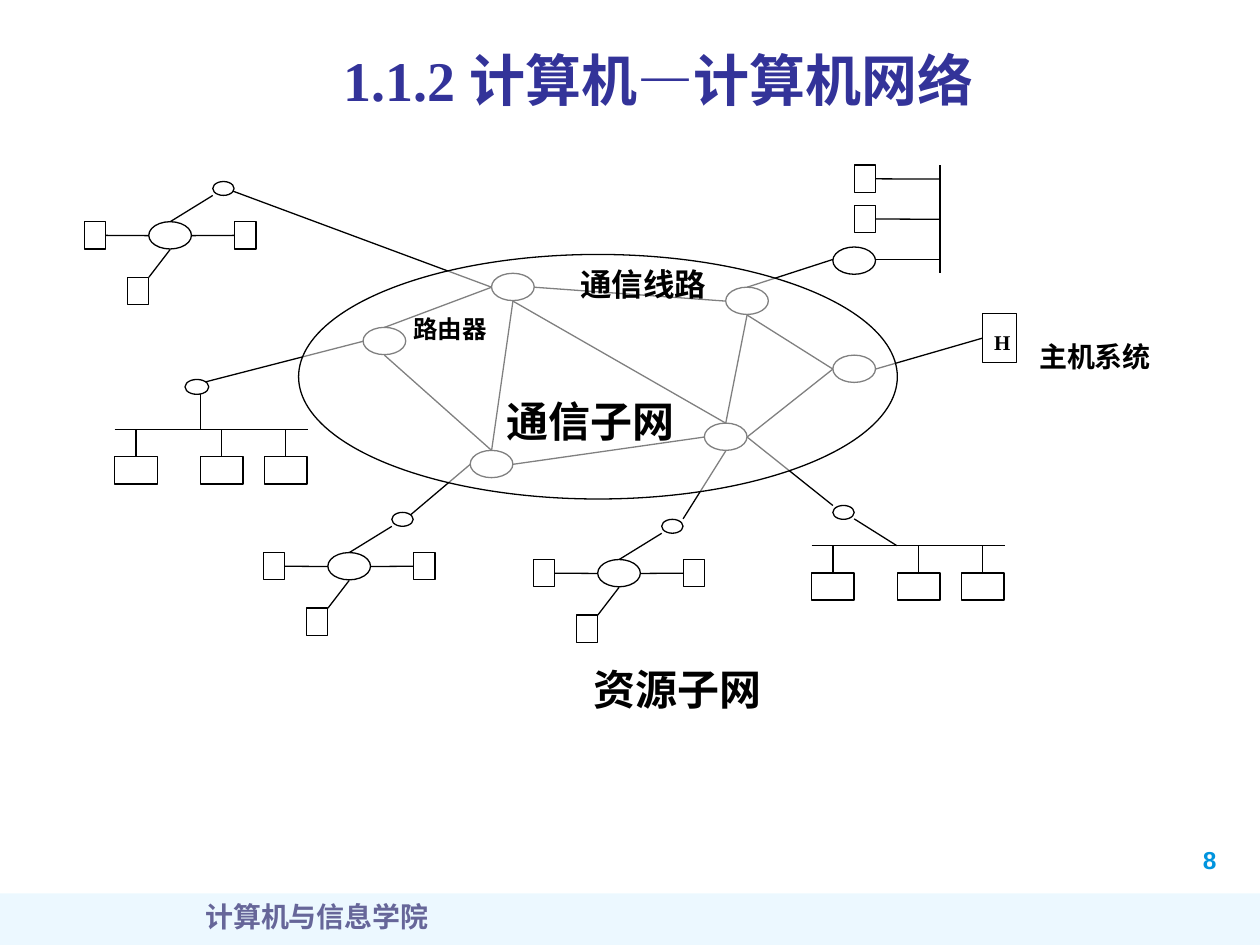
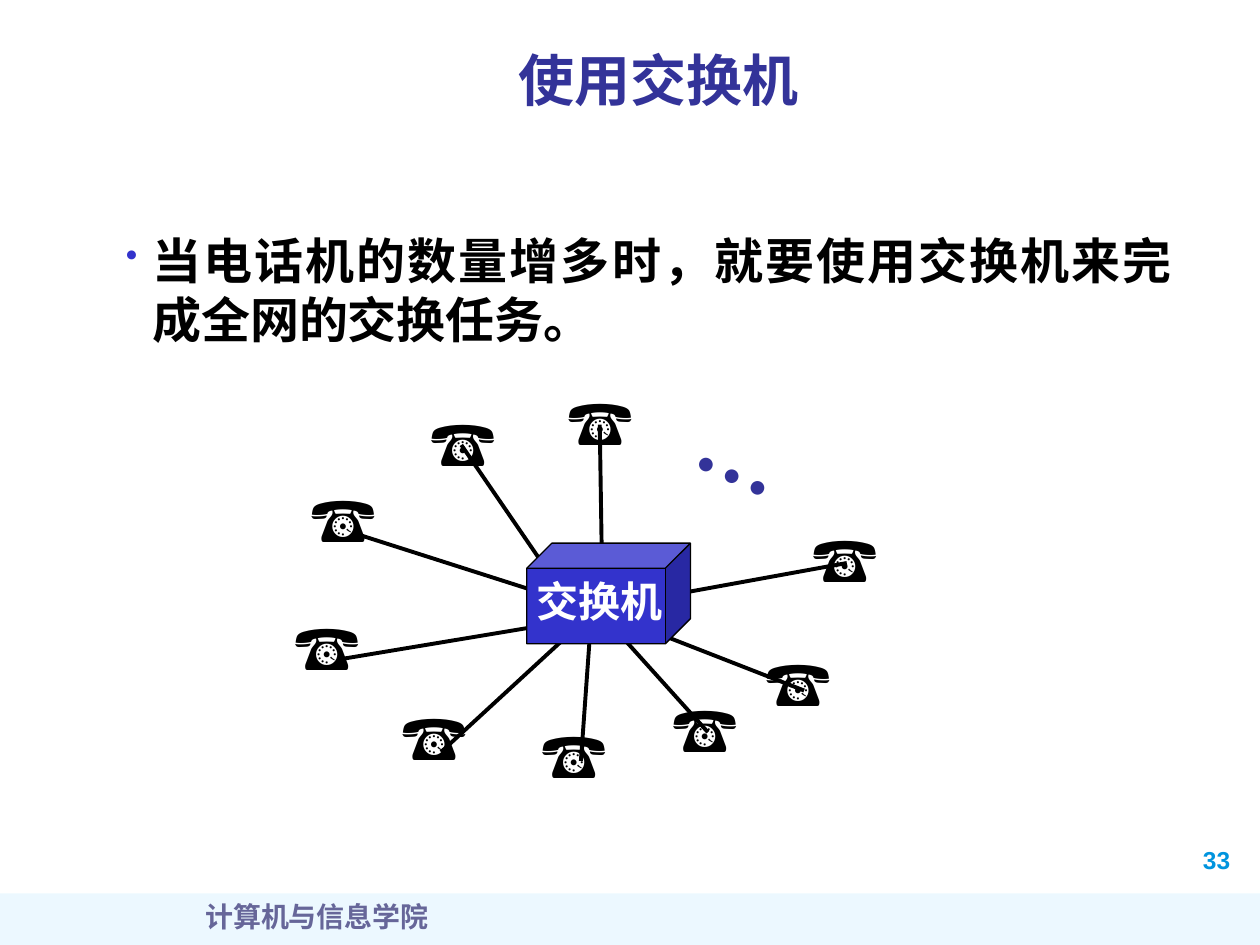
from lxml import etree
from pptx import Presentation
from pptx.dml.color import RGBColor
from pptx.enum.shapes import MSO_CONNECTOR as Connector, MSO_SHAPE as Shape
from pptx.enum.text import MSO_ANCHOR as Anchor, PP_ALIGN as Align
from pptx.oxml.ns import qn
from pptx.util import Cm, Pt

BLACK, WHITE = "000000", "FFFFFF"
NAVY, BLUE = "333399", "3333CC"
FOOTER_COLOUR, NUMBER_COLOUR, BAND_COLOUR = "666699", "0094DE", "A7E2FF"
SERIF, SANS = "Times New Roman", "Arial"
colour = RGBColor.from_string


def add_box(slide, kind, left, top, width, height, fill=WHITE, opacity=100, outline=BLACK):
    box = slide.shapes.add_shape(kind, Cm(left), Cm(top), Cm(width), Cm(height))
    box.shadow.inherit = False
    box.fill.solid()
    box.fill.fore_color.rgb = colour(fill)
    if opacity < 100:
        fill_colour = box.fill._xPr.find(qn("a:solidFill"))[0]
        etree.SubElement(fill_colour, qn("a:alpha"), val=str(opacity * 1000))
    if outline:
        box.line.color.rgb = colour(outline)
        box.line.width = Pt(0.75)
    else:
        box.line.fill.background()
    return box


def add_line(slide, start, end, width=0.75):
    line = slide.shapes.add_connector(
        Connector.STRAIGHT, Cm(start[0]), Cm(start[1]), Cm(end[0]), Cm(end[1]))
    line.line.color.rgb = colour(BLACK)
    line.line.width = Pt(width)
    etree.SubElement(line._element.spPr, qn("a:effectLst"))
    return line


presentation = Presentation()
presentation.slide_width, presentation.slide_height = Cm(25.4), Cm(19.05)
labels = []  # slide, text, left, top, width, height, size, font, colour, align, spacing

# Title, band and footer of both slides
slides = []
for title_text, number in (("1.1.2 计算机—计算机网络", "8"), ("使用交换机", "33")):
    slide = presentation.slides.add_slide(presentation.slide_layouts[5])
    slides.append(slide)
    add_box(slide, Shape.RECTANGLE, 0, 18.01, 25.4, 1.04, BAND_COLOUR, 21, None)
    title = slide.shapes.title
    title.left, title.top, title.width, title.height = Cm(3.43), Cm(0.64), Cm(19.69), Cm(1.9)
    title.text_frame.text = title_text
    title.text_frame.vertical_anchor = Anchor.MIDDLE
    paragraph = title.text_frame.paragraphs[0]
    paragraph.alignment = Align.CENTER
    paragraph.font.size, paragraph.font.bold = Pt(32), True
    paragraph.font.name = SERIF
    paragraph.font.color.rgb = colour(NAVY)
    effects = etree.SubElement(paragraph.runs[0]._r.get_or_add_rPr(), qn("a:effectLst"))
    shadow = etree.SubElement(effects, qn("a:outerShdw"), dist="35921", dir="2700000")
    etree.SubElement(shadow, qn("a:srgbClr"), val="C0C0C0")
    labels += [
        (slide, number, 24, 16.92, 1.5, 0.84, 14, SANS, NUMBER_COLOUR, Align.LEFT, 1),
        (slide, "计算机与信息学院", 0.69, 18.01, 11.4, 1.04, 16, SERIF, FOOTER_COLOUR,
         Align.CENTER, 1),
    ]
network, exchange = slides

# Routers and the links between them
NODE_WIDTH, NODE_HEIGHT = 0.86, 0.55
HALF_WIDTH, HALF_HEIGHT = 0.43, 0.28
router_centres = {
    "west": (7.75, 6.88), "north": (10.34, 5.79), "northeast": (15.06, 6.07),
    "east": (17.22, 7.44), "southeast": (14.63, 8.81), "southwest": (9.91, 9.36),
}
side_offsets = {"left": (-HALF_WIDTH, 0), "right": (HALF_WIDTH, 0),
                "top": (0, -HALF_HEIGHT), "bottom": (0, HALF_HEIGHT)}
ports = {}
for name, (x, y) in router_centres.items():
    add_box(network, Shape.FLOWCHART_CONNECTOR, x - HALF_WIDTH, y - HALF_HEIGHT,
            NODE_WIDTH, NODE_HEIGHT)
    for side, (dx, dy) in side_offsets.items():
        ports[f"{name} {side}"] = (x + dx, y + dy)

for start, end in (
    ("north right", "northeast left"), ("northeast bottom", "east left"),
    ("east left", "southeast right"), ("northeast bottom", "southeast top"),
    ("north bottom", "southeast top"), ("southeast left", "southwest right"),
    ("north bottom", "southwest top"), ("west bottom", "southwest top"),
    ("north left", "west top"),
):
    add_line(network, ports[start], ports[end])

for start, access_point in (
    ("west left", (4.06, 7.72)), ("north left", (4.5, 3.78)),
    ("southwest left", (8.18, 10.46)), ("southeast bottom", (13.77, 10.46)),
    ("southeast right", (16.79, 10.19)), ("northeast top", (16.79, 5.23)),
):
    add_line(network, ports[start], access_point)

# Host
host = add_box(network, Shape.RECTANGLE, 19.81, 6.32, 0.69, 0.99)
add_line(network, ports["east right"], (19.81, 6.82)).end_connect(host, 1)
frame = host.text_frame
frame.margin_left, frame.margin_right = Cm(0.1), 0
frame.margin_top = frame.margin_bottom = 0
frame.vertical_anchor = Anchor.MIDDLE
frame.text = "H"
paragraph = frame.paragraphs[0]
paragraph.alignment = Align.CENTER
paragraph.line_spacing = 1.3
paragraph.font.size, paragraph.font.bold = Pt(12), True
paragraph.font.name = SERIF
paragraph.font.color.rgb = colour(BLACK)

# Star networks, placed by the centre of the hub
for x, y in ((3.43, 4.75), (12.48, 11.56), (7.04, 11.42)):
    add_line(network, (x + 0.86, y - 0.81), (x, y - HALF_HEIGHT))
    add_line(network, (x, y + HALF_HEIGHT), (x - 0.43, y + 0.84))
    add_box(network, Shape.FLOWCHART_CONNECTOR, x + 0.86, y - 1.09, 0.43, 0.28)
    add_box(network, Shape.FLOWCHART_CONNECTOR, x - HALF_WIDTH, y - HALF_HEIGHT,
            NODE_WIDTH, NODE_HEIGHT)
    add_box(network, Shape.RECTANGLE, x - 0.86, y + 0.84, 0.43, 0.55)
    for direction, left, site in ((-1, x - 1.73, 3), (1, x + 1.3, 1)):
        station = add_box(network, Shape.RECTANGLE, left, y - HALF_HEIGHT, 0.43, 0.55)
        spoke = add_line(network, (x + direction * HALF_WIDTH, y), (x + direction * 1.3, y))
        spoke.end_connect(station, site)

# Bus networks, placed by the left end of the bus
for x, y, node, uplink_start, uplink_end in (
    (16.36, 11, (16.79, 10.19, 0.43, 0.28), (17.22, 10.46), (18.08, 11)),
    (2.31, 8.66, (3.73, 7.65, 0.48, 0.3), (4.04, 7.95), (4.04, 8.66)),
):
    add_box(network, Shape.FLOWCHART_CONNECTOR, *node)
    add_line(network, uplink_start, uplink_end)
    add_line(network, (x, y), (x + 3.89, y))
    for drop in (0.43, 2.16, 3.45):
        station = add_box(network, Shape.RECTANGLE, x + drop - HALF_WIDTH, y + 0.55,
                          NODE_WIDTH, NODE_HEIGHT)
        add_line(network, (x + drop, y), (x + drop, y + 0.55)).end_connect(station, 0)

# Vertical bus
add_line(network, (18.95, 3.33), (18.95, 5.51))
add_box(network, Shape.FLOWCHART_CONNECTOR, 16.79, 4.98, NODE_WIDTH, NODE_HEIGHT)
add_line(network, (17.65, 5.23), (18.95, 5.23))
for top in (3.33, 4.14):
    station = add_box(network, Shape.RECTANGLE, 17.22, top, 0.43, 0.55)
    add_line(network, (18.95, top + 0.28), (17.65, top + 0.28)).end_connect(station, 3)

# Communication subnet
subnet = add_box(network, Shape.OVAL, 6.02, 5.13, 12.07, 4.93, opacity=50)
frame = subnet.text_frame
frame.margin_left, frame.margin_top = Cm(0.54), Cm(0.3)
frame.vertical_anchor = Anchor.TOP
frame.text = "路由器"
paragraph = frame.paragraphs[0]
paragraph.alignment = Align.LEFT
paragraph.line_spacing = 1.3
paragraph.font.size, paragraph.font.bold = Pt(14), True
paragraph.font.name = SERIF
paragraph.font.color.rgb = colour(BLACK)

labels += [
    (network, "资源子网", 11.71, 13.25, 4.22, 1.3, 24, SANS, BLACK, Align.LEFT, 1),
    (network, "通信线路", 10.26, 4.98, 5.41, 1.24, 18, SANS, BLACK, Align.CENTER, 1.3),
    (network, "主机系统", 20.7, 6.73, 3, 0.94, 16, SERIF, BLACK, Align.LEFT, 1),
    (network, "通信子网", 9.96, 7.54, 3.96, 1.6, 24, SERIF, BLACK, Align.LEFT, 1.3),
]

# Body text of the exchange slide
body = exchange.shapes.add_textbox(Cm(2.29), Cm(4.52), Cm(21.59), Cm(3))
body.text_frame.word_wrap = True
body.text_frame.text = "当电话机的数量增多时，就要使用交换机来完成全网的交换任务。"
paragraph = body.text_frame.paragraphs[0]
paragraph.alignment = Align.JUSTIFY
properties = paragraph._p.get_or_add_pPr()
properties.set("marL", str(Cm(0.53)))
properties.set("indent", str(Cm(-0.53)))
bullet_colour = etree.SubElement(properties, qn("a:buClr"))
etree.SubElement(bullet_colour, qn("a:srgbClr"), val=BLUE)
etree.SubElement(properties, qn("a:buSzPct"), val="70000")
etree.SubElement(properties, qn("a:buChar"), char="•")
paragraph.font.size, paragraph.font.bold = Pt(28), True
paragraph.font.name = SANS
paragraph.font.color.rgb = colour(BLACK)

# Telephones and their lines to the exchange
for phone_left, phone_top, line_start, line_end in (
    (15.19, 12.85, (16.21, 13.92), (12.7, 12.55)),
    (10.67, 14.3, (11.71, 15.34), (11.91, 12.55)),
    (5.69, 12.12, (6.91, 13.28), (11.3, 12.55)),
    (8.43, 8, (9.3, 8.97), (11.02, 11.48)),
    (11.2, 7.59, (12.09, 8.56), (12.14, 11.76)),
    (16.13, 10.34, (17.07, 11.35), (13.11, 12.07)),
    (6.02, 9.55, (7.11, 10.74), (11.18, 12.04)),
    (7.85, 13.94, (8.89, 15.16), (11.51, 12.75)),
    (13.31, 13.77, (14.27, 14.76), (11.91, 12.14)),
):
    add_line(exchange, line_start, line_end, 2.25)
    labels.append((exchange, "☎", phone_left, phone_top, 2.21, 1.78, 36, SERIF, BLACK,
                   Align.LEFT, 1))

add_box(exchange, Shape.CUBE, 10.62, 10.95, 3.3, 2.03, BLUE)
labels += [
    (exchange, "…", 13.89, 7.95, 2.21, 2.29, 48, SERIF, NAVY, Align.LEFT, 1),
    (exchange, "交换机", 10.57, 11.48, 3.2, 1.27, 24, SERIF, WHITE, Align.LEFT, 1),
]

# Labels of both slides
for slide, text, left, top, width, height, size, font, text_colour, align, spacing in labels:
    box = slide.shapes.add_textbox(Cm(left), Cm(top), Cm(width), Cm(height))
    box.rotation = 24.3 if text == "…" else 0
    box.text_frame.word_wrap = True
    box.text_frame.text = text
    paragraph = box.text_frame.paragraphs[0]
    paragraph.alignment = align
    paragraph.line_spacing = spacing
    paragraph.font.size, paragraph.font.bold = Pt(size), True
    paragraph.font.name = font
    paragraph.font.color.rgb = colour(text_colour)

presentation.save("out.pptx")
